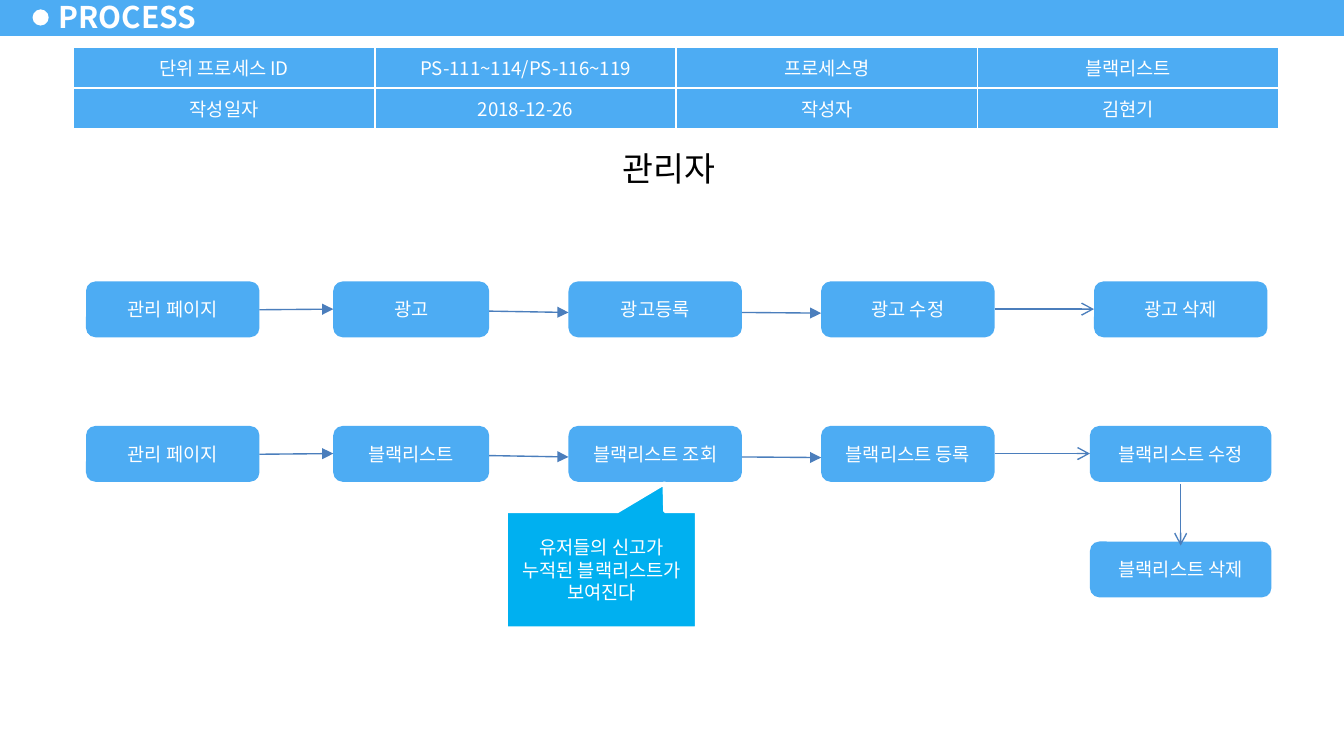
from dataclasses import dataclass
from typing import Any, NamedTuple

import lxml.etree
import pptx
import pptx.dml.color
import pptx.enum.shapes
import pptx.enum.text
import pptx.oxml.ns
import pptx.util

SHAPE = pptx.enum.shapes.MSO_SHAPE
ALIGN = pptx.enum.text.PP_ALIGN
ANCHOR = pptx.enum.text.MSO_ANCHOR
RGB = pptx.dml.color.RGBColor.from_string
qn = pptx.oxml.ns.qn


@dataclass(frozen=True)
class Theme:
    font: str = "Noto Sans CJK KR"
    main: str = "4DACF3"
    note: str = "00B0F0"
    arrow: str = "4B7EBC"
    light: str = "FFFFFF"
    dark: str = "000000"
    body: int = 10
    heading: int = 16
    role: int = 18
    arrow_width: float = 0.75
    note_width: float = 2


class Area(NamedTuple):
    col: float
    row: float
    cols: float
    rows: float


class Stage(NamedTuple):
    col: float
    cols: float
    label: str


class Link(NamedTuple):
    start_drop: float
    end_drop: float
    head: str


class Flow(NamedTuple):
    row: float
    stages: list[Stage]


THEME = Theme()
GRID_COLUMNS = 100
STAGE_ROWS = 4.15

deck = pptx.Presentation()
deck.slide_width = pptx.util.Inches(10)
deck.slide_height = deck.slide_width * 9 // 16
slide = deck.slides.add_slide(deck.slide_layouts[5])


def grid(cells: float) -> int:
    return round(deck.slide_width * cells / GRID_COLUMNS)


def apply(target: Any, values: dict[str, Any]) -> None:
    for key, value in values.items():
        setattr(target, key, value)


def write(frame: Any, text: str, size: int = THEME.body, color: str = THEME.light,
          bold: bool = False, align: Any = ALIGN.CENTER) -> None:
    paragraph = frame.paragraphs[0]
    paragraph.alignment = align
    run = paragraph.add_run()
    run.text = text
    run.font.color.rgb = RGB(color)
    apply(run.font, {"size": pptx.util.Pt(size), "bold": bold, "name": THEME.font})
    east_asian = lxml.etree.SubElement(run.font._element, qn("a:ea"))
    east_asian.set("typeface", THEME.font)


def draw(kind: Any, area: Area, fill: str) -> Any:
    shape = slide.shapes.add_shape(kind, *map(grid, area))
    shape.shadow.inherit = False
    shape.fill.solid()
    shape.fill.fore_color.rgb = RGB(fill)
    shape.line.fill.background()
    apply(shape.text_frame, {"word_wrap": True, "vertical_anchor": ANCHOR.MIDDLE})
    return shape


def draw_stage(stage: Stage, row: float) -> None:
    box = draw(SHAPE.ROUNDED_RECTANGLE, Area(stage.col, row, stage.cols, STAGE_ROWS), THEME.main)
    write(box.text_frame, stage.label)


def draw_arrow(start: tuple[float, float], end: tuple[float, float], head: str) -> None:
    arrow = slide.shapes.add_connector(
        pptx.enum.shapes.MSO_CONNECTOR.STRAIGHT, *map(grid, start + end))
    arrow.line.color.rgb = RGB(THEME.arrow)
    arrow.line.width = pptx.util.Pt(THEME.arrow_width)
    tail = lxml.etree.SubElement(arrow.line._get_or_add_ln(), qn("a:tailEnd"))
    tail.set("type", head)
    lxml.etree.SubElement(arrow._element.spPr, qn("a:effectLst"))


def draw_flow(flow: Flow) -> None:
    for stage in flow.stages:
        draw_stage(stage, flow.row)
    for before, after, link in zip(flow.stages, flow.stages[1:], LINKS):
        draw_arrow((before.col + before.cols, flow.row + link.start_drop),
                   (after.col, flow.row + link.end_drop), link.head)


def draw_summary(area: Area, rows: list[list[str]]) -> None:
    table = slide.shapes.add_table(len(rows), len(rows[0]), *map(grid, area)).table
    apply(table, {"first_row": False, "horz_banding": False})
    for row, labels in enumerate(rows):
        for column, label in enumerate(labels):
            cell = table.cell(row, column)
            cell.vertical_anchor = ANCHOR.MIDDLE
            cell.fill.solid()
            cell.fill.fore_color.rgb = RGB(THEME.main)
            write(cell.text_frame, label)


LINKS = [
    Link(2.1, 2.05, "triangle"),
    Link(2.2, 2.3, "triangle"),
    Link(2.3, 2.35, "triangle"),
    Link(2.05, 2.05, "arrow"),
]
SUMMARY = [
    ["단위 프로세스 ID", "PS-111~114/PS-116~119", "프로세스명", "블랙리스트"],
    ["작성일자", "2018-12-26", "작성자", "김현기"],
]
ADVERT_FLOW = Flow(20.95, [
    Stage(6.4, 12.9, "관리 페이지"),
    Stage(24.8, 11.6, "광고"),
    Stage(42.3, 12.9, "광고등록"),
    Stage(61.1, 12.9, "광고 수정"),
    Stage(81.4, 12.9, "광고 삭제"),
])
BLACKLIST_FLOW = Flow(31.7, [
    Stage(6.4, 12.9, "관리 페이지"),
    Stage(24.8, 11.6, "블랙리스트"),
    Stage(42.3, 12.9, "블랙리스트 조회"),
    Stage(61.1, 12.9, "블랙리스트 등록"),
    Stage(81.1, 13.5, "블랙리스트 수정"),
])

draw(SHAPE.RECTANGLE, Area(0, -0.2, 100, 2.88), THEME.main)
draw(SHAPE.OVAL, Area(2.42, 0.7, 1.2, 1.2), THEME.light)

heading = slide.shapes.title
slide.shapes._spTree.append(heading._element)
apply(heading, dict(zip(("left", "top", "width", "height"), map(grid, (3.45, -0.4, 12.2, 3.2)))))
apply(heading.text_frame, {
    "word_wrap": True,
    "auto_size": pptx.enum.text.MSO_AUTO_SIZE.NONE,
    "vertical_anchor": ANCHOR.MIDDLE,
    "margin_left": grid(0.9),
    "margin_right": grid(0.9),
    "margin_top": grid(0.4),
    "margin_bottom": grid(0.4),
})
write(heading.text_frame, "PROCESS", THEME.heading, bold=True, align=ALIGN.LEFT)

draw_summary(Area(5.46, 3.54, 89.7, 5.6), SUMMARY)

role = draw(SHAPE.RECTANGLE, Area(39.4, 10.5, 20.7, 4.1), THEME.light)
role.text_frame.vertical_anchor = ANCHOR.TOP
write(role.text_frame, "관리자", THEME.role, THEME.dark)

draw_flow(BLACKLIST_FLOW)

note = draw(SHAPE.RECTANGULAR_CALLOUT, Area(37.65, 38.05, 14.2, 8.7), THEME.note)
note.adjustments[0], note.adjustments[1] = 0.33, -0.74
note.line.color.rgb = RGB(THEME.light)
note.line.width = pptx.util.Pt(THEME.note_width)
write(note.text_frame, "유저들의 신고가 누적된 블랙리스트가 보여진다")

edit = BLACKLIST_FLOW.stages[-1]
removal = edit._replace(label="블랙리스트 삭제")
removal_row = 40.3
draw_stage(removal, removal_row)
edit_center = edit.col + edit.cols / 2
draw_arrow((edit_center, 36), (edit_center, removal_row + 0.3), "arrow")

draw_flow(ADVERT_FLOW)

deck.save("out.pptx")
